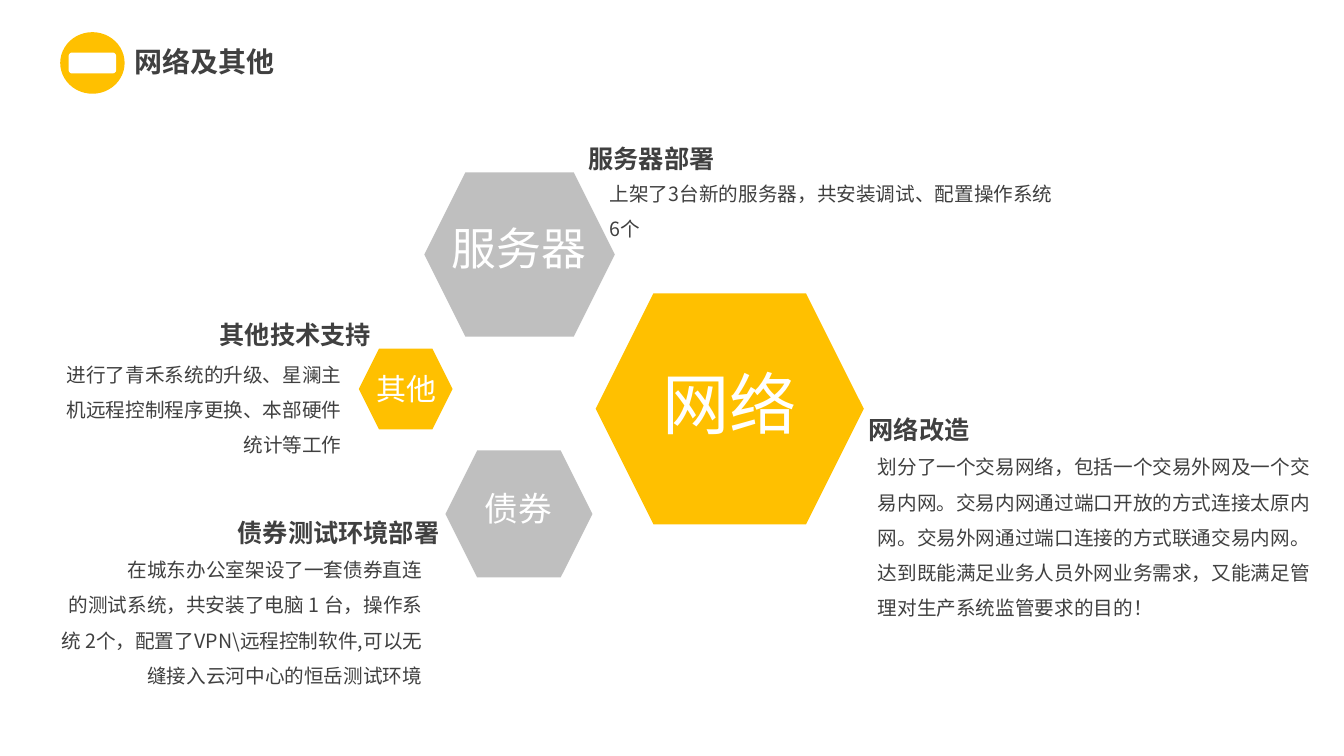
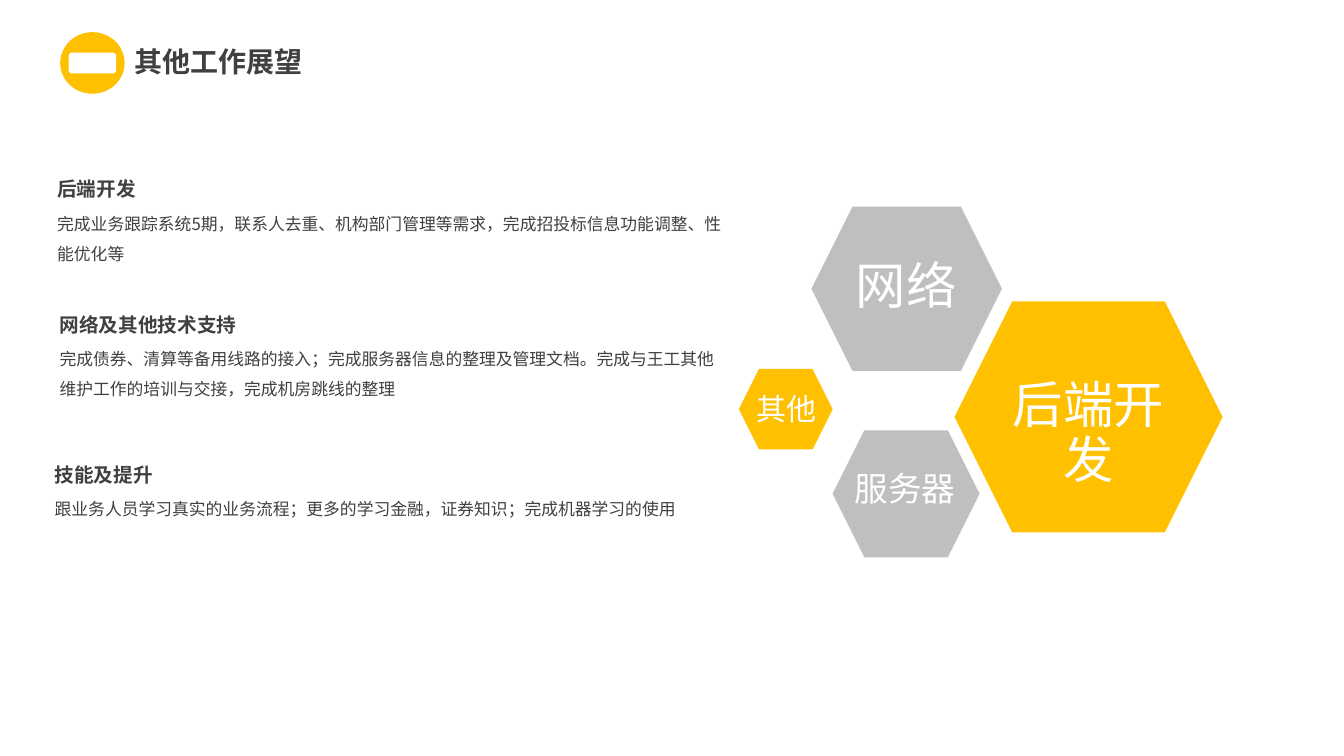
from collections import namedtuple

from pptx import Presentation
from pptx.dml.color import RGBColor
from pptx.enum.shapes import MSO_SHAPE
from pptx.enum.text import MSO_ANCHOR, MSO_AUTO_SIZE, PP_ALIGN
from pptx.oxml.ns import qn
from pptx.util import Pt

# Shared style
GOLD, GREY, DARK, WHITE = "FFC000", "BFBFBF", "404040", "FFFFFF"
TEXT_FONT, LABEL_FONT = "Noto Sans CJK SC", "Calibri"
INSET = 7.2

# Hexagon kinds: size, fill, and the label box relative to the hexagon
Hexagon = namedtuple("Hexagon", "width height fill label_x label_y label_width label_height")
SMALL = Hexagon(67, 57.6, GOLD, -1, 15.2, 70, 30)
MEDIUM = Hexagon(105, 90.7, GREY, 7.2, 26.6, 89.3, 33)
UPPER = Hexagon(136.1, 117.4, GREY, 1.4, 35.3, 132.5, 44)
LARGE = Hexagon(191.5, 165, GOLD, 29.5, 52.6, 132.5, 60)


def color(hex_string):
    return RGBColor.from_string(hex_string)


def place(shape, x, y, width, height):
    shape.left, shape.top, shape.width, shape.height = Pt(x), Pt(y), Pt(width), Pt(height)


def format_text(paragraph, size, font_name, font_color, bold=False):
    for run in paragraph.runs:
        run.font.size = Pt(size)
        run.font.name = font_name
        run.font.bold = bold
        run.font.color.rgb = color(font_color)
        if font_name == TEXT_FONT:
            east_asian = run.font._element.makeelement(qn("a:ea"), {"typeface": font_name})
            run.font._element.find(qn("a:latin")).addnext(east_asian)


def add_filled_shape(slide, kind, x, y, width, height, fill):
    shape = slide.shapes.add_shape(kind, Pt(x), Pt(y), Pt(width), Pt(height))
    shape.shadow.inherit = False
    shape.fill.solid()
    shape.fill.fore_color.rgb = color(fill)
    shape.line.fill.background()


def add_text(slide, text, x, y, width, height):
    box = slide.shapes.add_textbox(Pt(x), Pt(y), Pt(width), Pt(height))
    box.text_frame.word_wrap = True
    box.text_frame.text = text
    return box.text_frame


def add_heading(slide, text, x, y, size):
    # One character of spare width keeps the heading on one line
    width = (len(text) + 1) * size + 2 * INSET
    frame = add_text(slide, text, x, y, width, size * 1.2 + INSET)
    format_text(frame.paragraphs[0], size, TEXT_FONT, DARK, bold=True)


def add_body(slide, text, x, y, width, height, size, alignment=PP_ALIGN.LEFT, indent=0):
    paragraph = add_text(slide, text, x, y, width, height).paragraphs[0]
    paragraph.alignment = alignment
    paragraph.line_spacing = 1.5
    if indent:
        paragraph._p.get_or_add_pPr().set("indent", str(Pt(indent)))
    format_text(paragraph, size, TEXT_FONT, DARK)


def add_hexagon(slide, kind, x, y, label, size):
    add_filled_shape(slide, MSO_SHAPE.HEXAGON, x, y, kind.width, kind.height, kind.fill)
    frame = add_text(slide, label, x + kind.label_x, y + kind.label_y,
                     kind.label_width, kind.label_height)
    paragraph = frame.paragraphs[0]
    paragraph.alignment = PP_ALIGN.CENTER
    paragraph.line_spacing = 0.9
    paragraph.space_before = Pt(7.5)
    format_text(paragraph, size, LABEL_FONT, WHITE)


def add_titled_slide(presentation, title_text):
    slide = presentation.slides.add_slide(presentation.slide_layouts[5])
    title = slide.shapes.title
    place(title, 88.6, 28.2, 500, 31.7)
    frame = title.text_frame
    frame.text = title_text
    frame.auto_size = MSO_AUTO_SIZE.NONE
    frame.vertical_anchor = MSO_ANCHOR.TOP
    frame.paragraphs[0].alignment = PP_ALIGN.LEFT
    format_text(frame.paragraphs[0], 20, TEXT_FONT, DARK, bold=True)
    # Round badge with a plain mark
    add_filled_shape(slide, MSO_SHAPE.OVAL, 43, 23, 46, 44, GOLD)
    add_filled_shape(slide, MSO_SHAPE.ROUNDED_RECTANGLE, 49, 37.5, 34, 15, WHITE)
    return slide


def build_network_slide(presentation):
    slide = add_titled_slide(presentation, "网络及其他")

    # Hexagon cluster
    add_hexagon(slide, SMALL, 256.3, 249.1, "其他", 21.4)
    add_hexagon(slide, MEDIUM, 318.2, 321.8, "债券", 24)
    add_hexagon(slide, LARGE, 425.5, 209.5, "网络", 48)
    add_hexagon(slide, UPPER, 303.1, 123.1, "服务器", 32)

    # Notes to the right of the cluster
    add_heading(slide, "网络改造", 613.4, 292.3, 18)
    add_body(slide, "划分了一个交易网络，包括一个交易外网及一个交易内网。交易内网通过端口开放的方式"
             "连接太原内网。交易外网通过端口连接的方式联通交易内网。达到既能满足业务人员外网"
             "业务需求，又能满足管理对生产系统监管要求的目的！", 619.9, 313.2, 334.8, 134.6, 14)
    add_heading(slide, "服务器部署", 413.3, 98.6, 18)
    add_body(slide, "上架了3台新的服务器，共安装调试、配置操作系统6个",
             428.4, 118.1, 334.8, 58.3, 14)

    # Notes to the left of the cluster
    add_heading(slide, "债券测试环境部署", 162.7, 365.8, 18)
    add_body(slide, "在城东办公室架设了一套债券直连的测试系统，共安装了电脑 1 台，操作系统 2个，"
             "配置了VPN\\远程控制软件,可以无缝接入云河中心的恒岳测试环境",
             33.8, 386.6, 275, 108.7, 14, PP_ALIGN.RIGHT, indent=43)
    add_heading(slide, "其他技术支持", 149.8, 224.6, 18)
    add_body(slide, "进行了青禾系统的升级、星澜主机远程控制程序更换、本部硬件统计等工作",
             26.6, 247, 224.6, 83.5, 14, PP_ALIGN.RIGHT)


def build_outlook_slide(presentation):
    slide = add_titled_slide(presentation, "其他工作展望")

    # Hexagon cluster
    add_hexagon(slide, SMALL, 527.8, 263.5, "其他", 21.4)
    add_hexagon(slide, MEDIUM, 594.7, 307.4, "服务器", 24)
    add_hexagon(slide, LARGE, 681.8, 215.3, "后端开发", 36)
    add_hexagon(slide, UPPER, 579.6, 147.6, "网络", 36)

    # Planned work
    sections = [
        (33.8, 123.1, "后端开发",
         "完成业务跟踪系统5期，联系人去重、机构部门管理等需求，完成招投标信息功能调整、性能优化等"),
        (35.5, 219.6, "网络及其他技术支持",
         "完成债券、清算等备用线路的接入；完成服务器信息的整理及管理文档。"
         "完成与王工其他维护工作的培训与交接，完成机房跳线的整理"),
        (32, 326.9, "技能及提升",
         "跟业务人员学习真实的业务流程；更多的学习金融，证券知识；完成机器学习的使用"),
    ]
    for x, y, heading, body in sections:
        add_heading(slide, heading, x, y, 14)
        add_body(slide, body, x, y + 18.7, 493.9, 51, 12)


def main():
    presentation = Presentation()
    presentation.slide_width, presentation.slide_height = Pt(960), Pt(540)
    build_network_slide(presentation)
    build_outlook_slide(presentation)
    presentation.save("out.pptx")


if __name__ == "__main__":
    main()
